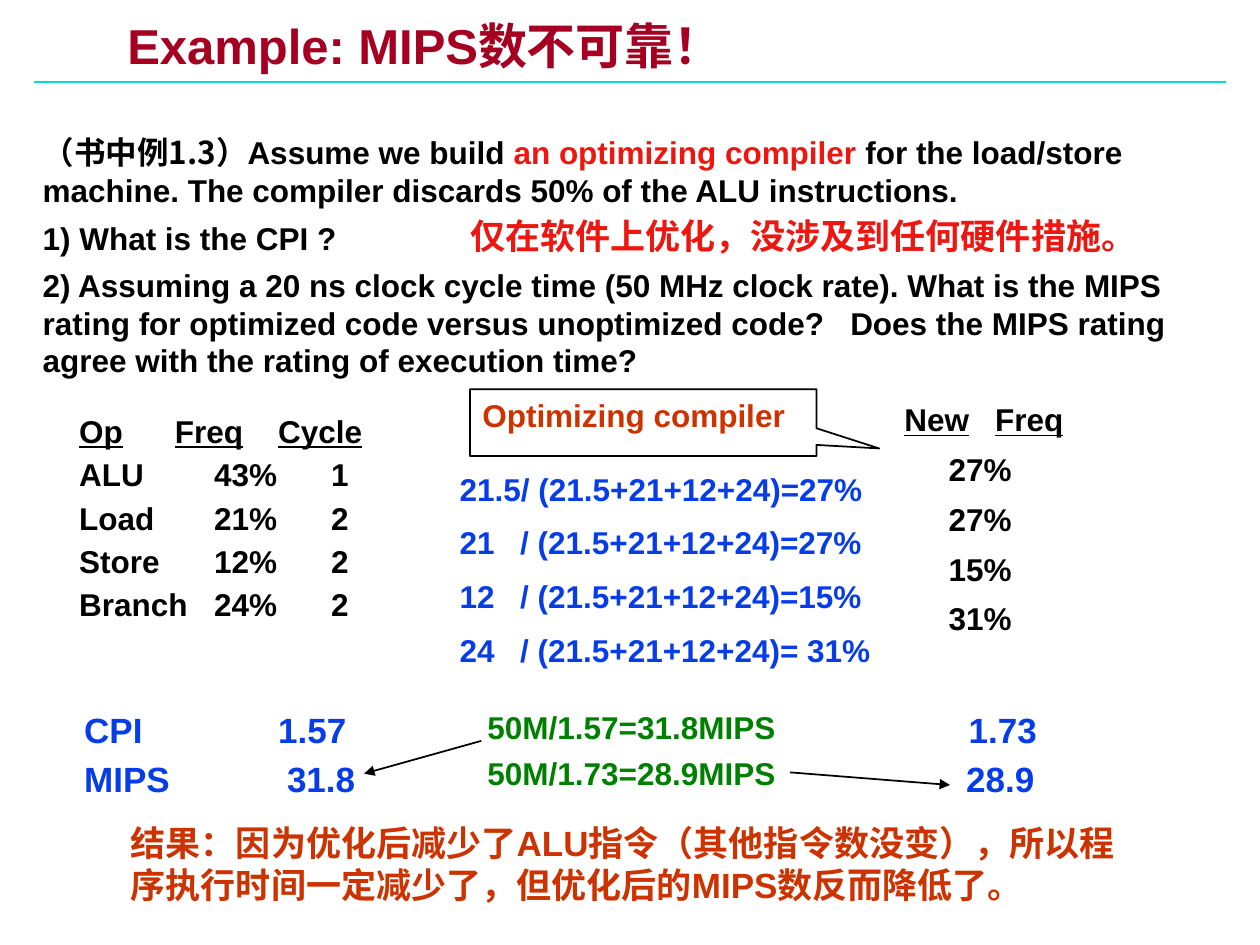
import pptx
import pptx.util
import pptx.dml.color
import pptx.enum.shapes
import pptx.enum.text
import pptx.oxml
import pptx.oxml.ns
import lxml.etree
from dataclasses import dataclass

Inches, Pt = pptx.util.Inches, pptx.util.Pt


@dataclass(frozen=True)
class Theme:
    latin: str = "Arial"
    han: str = "Noto Sans CJK SC"
    title: str = "A50021"
    rule: str = "00DFCA"
    ink: str = "000000"
    red: str = "ED1611"
    rust: str = "CC3300"
    blue: str = "063DE8"
    green: str = "008000"
    head: int = 28
    large: int = 20
    body: int = 18
    lead: float = 1.2


T = Theme()

# Each paragraph is a list of runs: text, or (text, colour, font)
TITLE = [["Example: MIPS数不可靠！"]]
TASK = [
    ["（", ("书中例1.3", T.ink, T.han), "）Assume we build ",
     ("an optimizing compiler", T.red, T.latin),
     " for the load/store machine. The compiler discards 50% of the ALU instructions."],
    ["1) What is the CPI ?"],
    ["2) Assuming a 20 ns clock cycle time (50 MHz clock rate). What is the MIPS rating "
     "for optimized code versus unoptimized code?\tDoes the MIPS rating agree with "
     "the rating of execution time?"],
]
REMARK = [["仅在软件上优化，没涉及到任何硬件措施。"]]
OPS = [
    ("Op", "Freq", "Cycle", ""),
    ("ALU", "43%", "1"),
    ("Load", "21%", "2"),
    ("Store", "12%", "2"),
    ("Branch", "24%", "2"),
]
NEW = [("New", "Freq", ""), ("", "27%"), ("", "27%"), ("", "15%"), ("", "31%")]
SUMS = [
    ["21.5/ (21.5+21+12+24)=27%"],
    ["21\t/ (21.5+21+12+24)=27%"],
    ["12\t/ (21.5+21+12+24)=15%"],
    ["24\t/ (21.5+21+12+24)= 31%"],
]
RATES = [("CPI", "1.57", "1.73"), ("MIPS", "31.8", "28.9")]
SPEEDS = [["50M/1.57=31.8MIPS"], ["50M/1.73=28.9MIPS"]]
RESULT = [["结果：因为优化后减少了ALU指令（其他指令数没变），"
           "所以程序执行时间一定减少了，但优化后的MIPS数反而降低了。"]]
ARROWS = [((3.82, 5.88), (2.89, 6.14)), ((6.27, 6.13), (7.54, 6.23))]

deck = pptx.Presentation()
deck.slide_width, deck.slide_height = Inches(10), Inches(7.5)
slide = deck.slides.add_slide(deck.slide_layouts[6])


def rgb(code):
    return pptx.dml.color.RGBColor.from_string(code)


def style(run, size, color, font):
    run.font.size, run.font.bold, run.font.name = Pt(size), True, font
    run.font.color.rgb = rgb(color)
    props = run._r.get_or_add_rPr()
    east = pptx.oxml.parse_xml(
        f'<a:ea {pptx.oxml.ns.nsdecls("a")} typeface="{T.han}"/>')
    props.find(pptx.oxml.ns.qn("a:latin")).addnext(east)


def set_tabs(para, stops):
    tag = pptx.oxml.ns.qn
    tabs = lxml.etree.SubElement(para._p.get_or_add_pPr(), tag("a:tabLst"))
    for stop in stops:
        lxml.etree.SubElement(tabs, tag("a:tab"), pos=str(Inches(stop)), algn="l")


def fill_text(frame, paras, size, color, gap=0, lead=T.lead, stops=()):
    """Write paragraphs; gap is in points, stops holds one tab list each."""
    frame.word_wrap = True
    for i, parts in enumerate(paras):
        para = frame.paragraphs[0] if i == 0 else frame.add_paragraph()
        if stops and stops[i]:
            set_tabs(para, stops[i])
        para.line_spacing = Pt(round(size * lead, 1))
        if i:
            para.space_before = Pt(gap)
        for part in parts:
            text, tint, font = (part, color, T.latin) if isinstance(part, str) else part
            run = para.add_run()
            run.text = text
            style(run, size, tint, font)


def add_text(place, paras, size, color, **rest):
    box = slide.shapes.add_textbox(*map(Inches, place))
    fill_text(box.text_frame, paras, size, color, **rest)
    return box.text_frame


def add_grid(place, rows, size, color, stops, **rest):
    """Lay rows out as tabbed lines."""
    return add_text(place, [["\t".join(row)] for row in rows], size, color,
                    stops=stops, **rest)


def add_line(start, end, color, width, arrow=False):
    line = slide.shapes.add_connector(
        pptx.enum.shapes.MSO_CONNECTOR.STRAIGHT, *map(Inches, start + end))
    line.line.color.rgb, line.line.width = rgb(color), Pt(width)
    tag = pptx.oxml.ns.qn
    if arrow:
        lxml.etree.SubElement(line.line._get_or_add_ln(), tag("a:tailEnd"), type="triangle")
    lxml.etree.SubElement(line._element.spPr, tag("a:effectLst"))


add_line((0.27, 0.65), (9.73, 0.65), T.rule, 1.5)
title = add_text((0.94, 0.13, 7.09, 0.47), TITLE, T.head, T.title, lead=1.1)
title.margin_left = title.margin_right = Inches(0.07)
title.margin_top = title.margin_bottom = Inches(0.03)

add_text((0.24, 1.01, 9.76, 2.08), TASK, T.body, T.ink, gap=5.4,
         stops=[(), (), (6.41,)])

ops = add_grid((0.53, 3.25, 2.85, 1.82), OPS, T.body, T.ink, gap=5.4, lead=1.08,
               stops=[(0.76, 1.58, 2.39)] + [(1.07, 2)] * 4)
new = add_grid((7.08, 3.16, 1.75, 2.06), NEW, T.body, T.ink, gap=9, lead=1.08,
               stops=[(0.72, 1.54)] + [(0.35,)] * 4)
for frame in (ops, new):
    frame.paragraphs[0].runs[0].font.underline = True

call = slide.shapes.add_shape(
    pptx.enum.shapes.MSO_SHAPE.RECTANGULAR_CALLOUT,
    *map(Inches, (3.73, 3.09, 2.75, 0.53)))
call.adjustments[0], call.adjustments[1] = 0.681, 0.386
call.shadow.inherit = False
call.fill.background()
call.line.color.rgb, call.line.width = rgb(T.ink), Pt(1)
call.text_frame.vertical_anchor = pptx.enum.text.MSO_ANCHOR.TOP
fill_text(call.text_frame, [["Optimizing compiler"]], T.body, T.rust)
call.text_frame.paragraphs[0].alignment = pptx.enum.text.PP_ALIGN.LEFT

add_grid((0.57, 5.57, 7.87, 0.83), RATES, T.large, T.blue, gap=4,
         stops=[(1.54, 7.02), (1.61, 7)])
add_text((0.94, 6.47, 8.12, 0.77), RESULT, T.large, T.rust)
add_text((3.55, 3.68, 3.52, 1.76), SUMS, T.body, T.blue, gap=9,
         stops=[()] + [(0.48,)] * 3)
add_text((3.77, 5.57, 3.25, 0.78), SPEEDS, T.body, T.green, gap=4.5)
for start, end in ARROWS:
    add_line(start, end, T.ink, 1, arrow=True)

remark = add_text((3.22, 1.65, 6.31, 0.44), REMARK, T.large, T.red)
remark.paragraphs[0].alignment = pptx.enum.text.PP_ALIGN.CENTER

deck.save("out.pptx")
